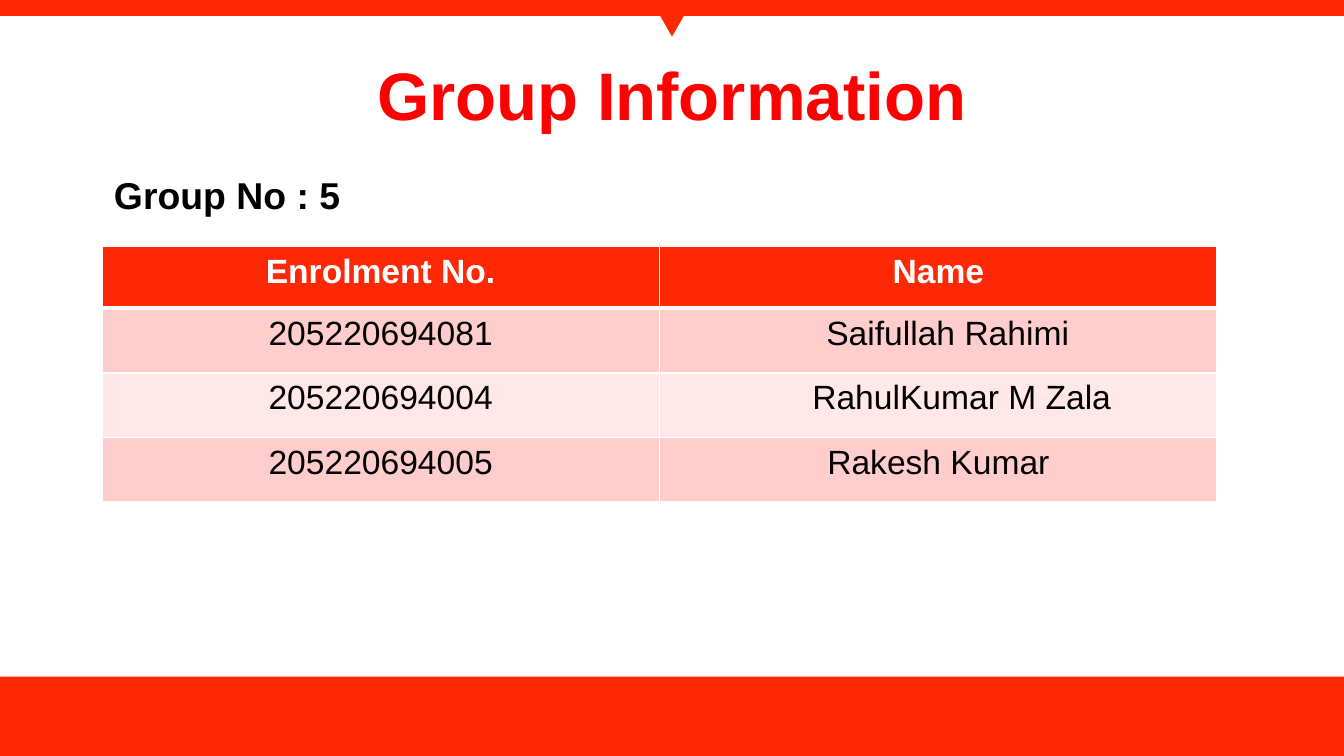
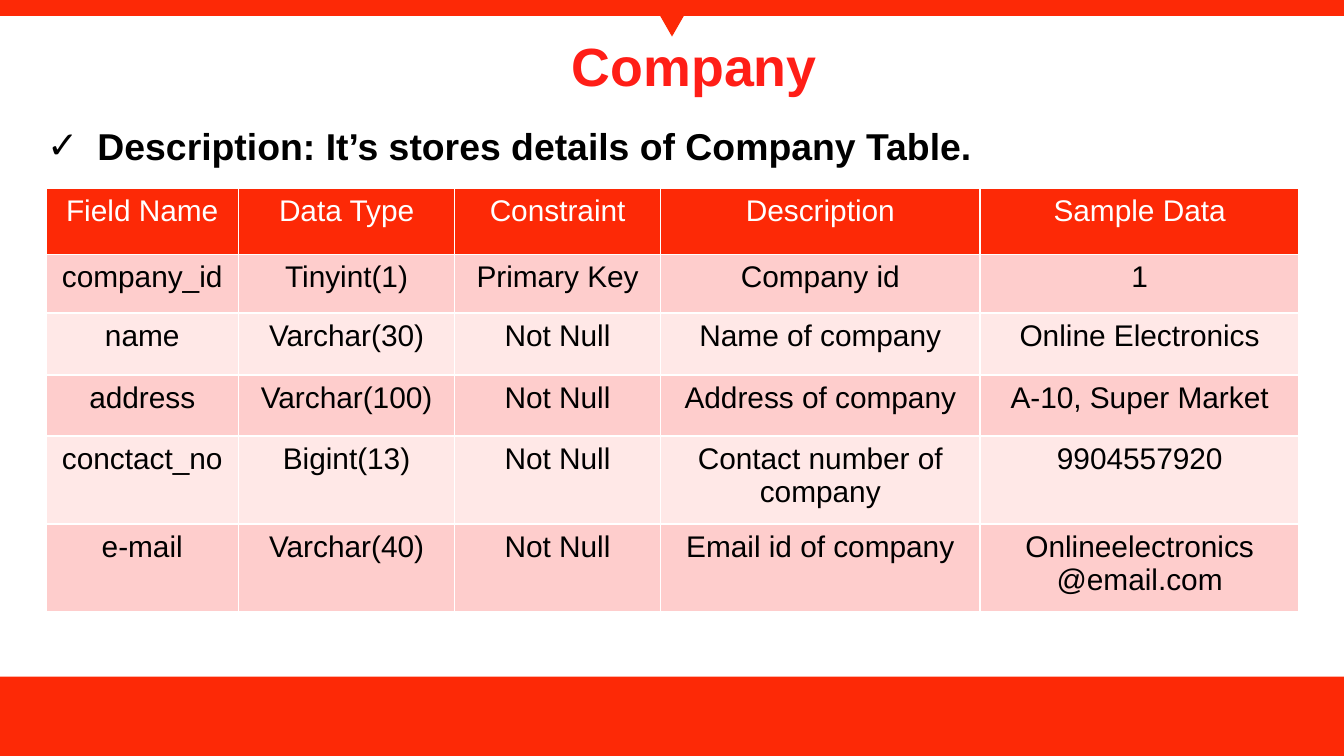
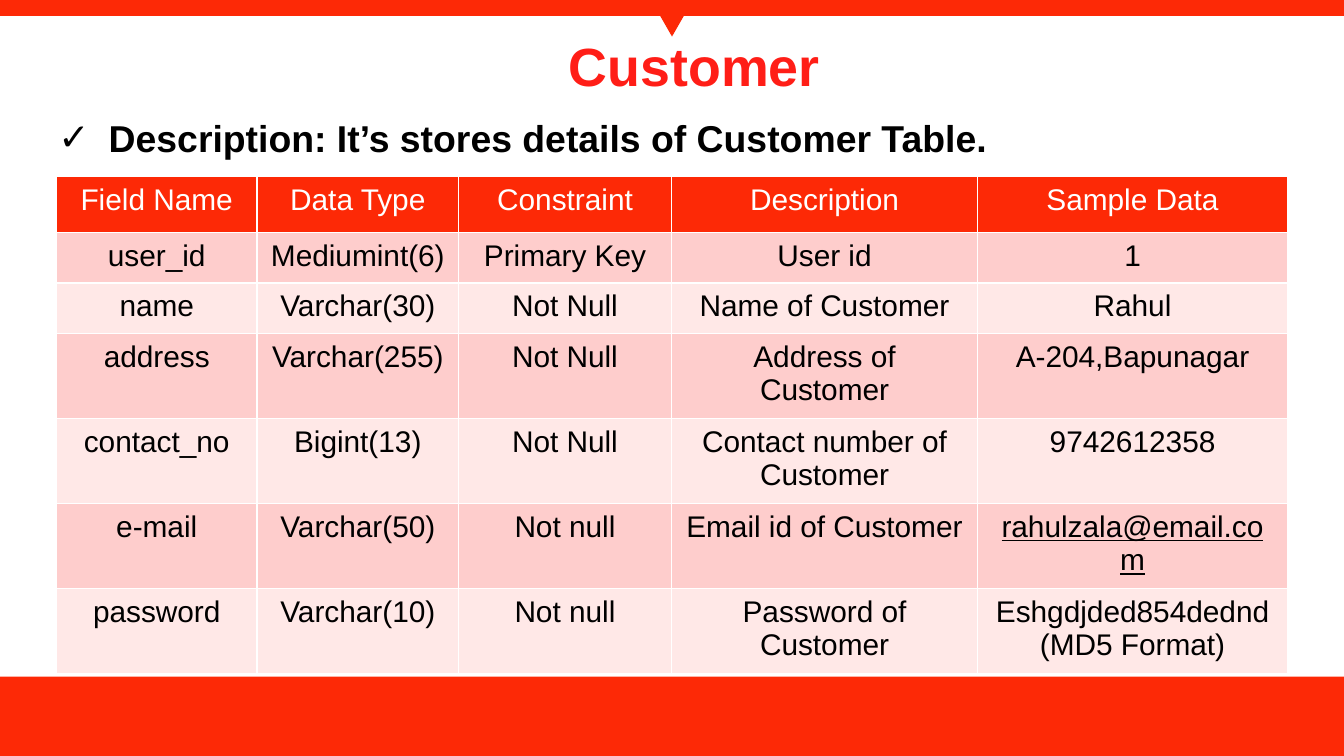
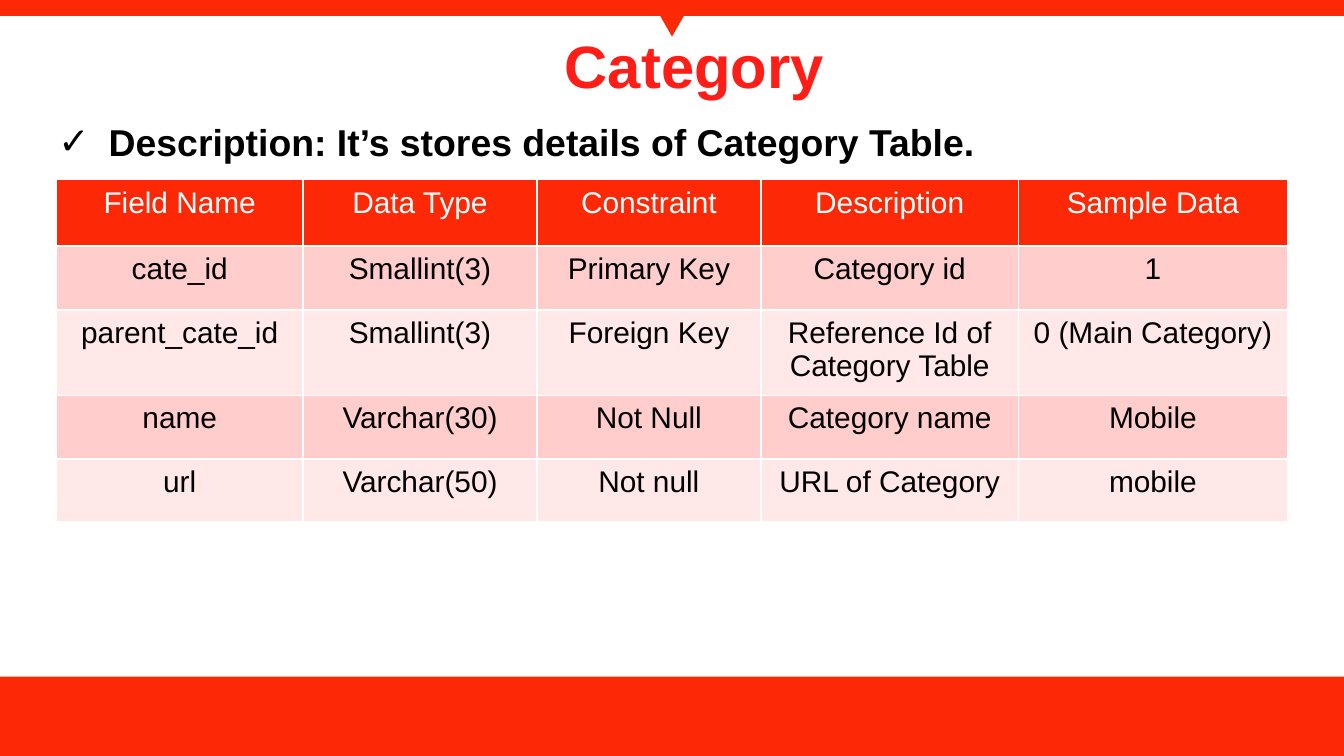
from lxml import etree
from pptx import Presentation
from pptx.dml.color import RGBColor
from pptx.enum.shapes import MSO_SHAPE
from pptx.enum.text import MSO_ANCHOR, MSO_AUTO_SIZE, PP_ALIGN
from pptx.oxml.ns import qn
from pptx.util import Pt

RECT, TRIANGLE = MSO_SHAPE.RECTANGLE, MSO_SHAPE.ISOSCELES_TRIANGLE
CENTER, LEFT = PP_ALIGN.CENTER, PP_ALIGN.LEFT
TOP, MIDDLE = MSO_ANCHOR.TOP, MSO_ANCHOR.MIDDLE
NO_FIT = MSO_AUTO_SIZE.NONE

WIDTH, HEIGHT = 720, 405
TITLE_ONLY, TITLE_AND_BODY = 5, 1
COLORS = {
    "band": "FD2906", "title": "FF0000", "table_title": "FF1E17", "text": "000000",
    "white": "FFFFFF", "odd_row": "FECDCC", "even_row": "FFE8E7",
}
HEADING = {"size": Pt(20), "bold": True}
CELL = {"size": Pt(16), "bold": False}
MEMBER_CELL = {"size": Pt(18), "bold": False}
FIELD_HEADER = ["Field Name", "Data Type", "Constraint", "Description", "Sample Data"]

MEMBERS = [
    ["Enrolment No.", "Name"],
    ["205220694081", "Saifullah Rahimi"],
    ["205220694004", "RahulKumar M Zala"],
    ["205220694005", "Rakesh Kumar"],
]
NAME_INDENTS = {1: 10, 2: 25}

SCHEMAS = [
    {
        "name": "Company", "title_size": 28.8, "note": (18, 62.6), "table": (24.6, 100.7),
        "cols": [103.2, 115.8, 110.3, 171.2, 171], "rows": [35.6, 31.6, 33, 32.7, 47.2, 47.2],
        "fields": [
            ["company_id", "Tinyint(1)", "Primary Key", "Company id", "1"],
            ["name", "Varchar(30)", "Not Null", "Name of company", "Online Electronics"],
            ["address", "Varchar(100)", "Not Null", "Address of company", "A-10, Super Market"],
            ["conctact_no", "Bigint(13)", "Not Null", "Contact number of\ncompany", "9904557920"],
            ["e-mail", "Varchar(40)", "Not Null", "Email id of company",
             "Onlineelectronics\n@email.com"],
        ],
    },
    {
        "name": "Customer", "title_size": 28.8, "note": (24, 58.3), "table": (30.2, 94.6),
        "cols": [107.6, 107.9, 114.1, 164, 166], "rows": [30, 27, 27.2] + [45.5] * 4,
        "underlined": "rahulzala@email.com",
        "fields": [
            ["user_id", "Mediumint(6)", "Primary Key", "User id", "1"],
            ["name", "Varchar(30)", "Not Null", "Name of Customer", "Rahul"],
            ["address", "Varchar(255)", "Not Null", "Address of\nCustomer", "A-204,Bapunagar"],
            ["contact_no", "Bigint(13)", "Not Null", "Contact number of\nCustomer", "9742612358"],
            ["e-mail", "Varchar(50)", "Not null", "Email id of Customer", "rahulzala@email.com"],
            ["password", "Varchar(10)", "Not null", "Password of\nCustomer",
             "Eshgdjded854dednd(MD5 Format)"],
        ],
    },
    {
        "name": "Category", "title_size": 32, "note": (24, 60.5), "table": (30.2, 96.2),
        "cols": [132.2, 125.3, 120, 138, 144], "rows": [35.6, 34.3, 45.7, 34, 34],
        "fields": [
            ["cate_id", "Smallint(3)", "Primary Key", "Category id", "1"],
            ["parent_cate_id", "Smallint(3)", "Foreign Key", "Reference Id of\nCategory Table",
             "0 (Main Category)"],
            ["name", "Varchar(30)", "Not Null", "Category name", "Mobile"],
            ["url", "Varchar(50)", "Not null", "URL of Category", "mobile"],
        ],
    },
]


def rgb(color):
    """Look up a named colour."""
    return RGBColor.from_string(COLORS[color])


def write(tf, text, fmt, color="text", align=CENTER):
    """Fill a text frame, one paragraph for each line of text."""
    for i, line in enumerate(text.split("\n")):
        p = tf.add_paragraph() if i else tf.paragraphs[0]
        p.alignment, p.space_before = align, Pt(0)
        r = p.add_run()
        r.text = line
        for key, value in {"name": "Arial", **fmt}.items():
            setattr(r.font, key, value)
        r.font.color.rgb = rgb(color)


def place(sp, x, y, w, h):
    """Move a shape to a box given in points."""
    sp.left, sp.top, sp.width, sp.height = Pt(x), Pt(y), Pt(w), Pt(h)


def add_bands(prs, s):
    """Build the bands and the pointer, and hand them to the slide master."""
    pointer_w = 22.4
    parts = [
        (RECT, 0, 362.5, WIDTH, HEIGHT - 362.5),
        (RECT, 0, 0, WIDTH, 8.6),
        (TRIANGLE, (WIDTH - pointer_w) / 2, 0, pointer_w, 19.6),
    ]
    for i, (kind, *box) in enumerate(parts):
        sp = s.shapes.add_shape(kind, *map(Pt, box))
        sp.shadow.inherit = False
        sp.fill.solid()
        sp.fill.fore_color.rgb = rgb("band")
        sp.line.fill.background()
        sp.rotation = 180 if kind == TRIANGLE else 0
        sp.element.nvSpPr.cNvPr.set("id", str(20 + i))
        prs.slide_master.shapes.element.append(sp.element)


def add_title(s, text, box, size, color):
    """Format the title placeholder."""
    sp = s.shapes.title
    place(sp, *box)
    tf = sp.text_frame
    tf.auto_size, tf.vertical_anchor = NO_FIT, MIDDLE
    write(tf, text, {"size": Pt(size), "bold": True}, color)


def add_note(s, text, x, y):
    """Format the body placeholder as one line with a check mark."""
    sp = s.placeholders[1]
    place(sp, x, y, 600, 31.5)
    tf = sp.text_frame
    tf.auto_size, tf.vertical_anchor = NO_FIT, TOP
    pPr = tf.paragraphs[0]._p.get_or_add_pPr()
    pPr.set("marL", str(Pt(27)))
    pPr.set("indent", str(-Pt(27)))
    etree.SubElement(pPr, qn("a:buFont"), typeface="Arial")
    etree.SubElement(pPr, qn("a:buChar"), char="✓")
    write(tf, text, HEADING, align=LEFT)


def set_borders(cell, top, bottom):
    """Give a cell white borders."""
    tcPr = cell._tc.get_or_add_tcPr()
    for side, width in {"L": 1, "R": 1, "T": top, "B": bottom}.items():
        ln = etree.SubElement(tcPr, qn(f"a:ln{side}"), w=str(Pt(width)))
        fill = etree.SubElement(ln, qn("a:solidFill"))
        etree.SubElement(fill, qn("a:srgbClr"), val=COLORS["white"])


def add_grid(s, x, y, cols, heights, rows, fmt, header_line=1, bold_header=False, underlined=""):
    """Add a table with a red header and two alternating row colours."""
    frame = s.shapes.add_table(len(rows), len(cols), Pt(x), Pt(y), Pt(sum(cols)), Pt(sum(heights)))
    table = frame.table
    table.horz_banding = False
    for col, width in zip(table.columns, cols):
        col.width = Pt(width)
    for i, (row, height, texts) in enumerate(zip(table.rows, heights, rows)):
        row.height = Pt(height)
        fill = "band" if i == 0 else "odd_row" if i % 2 else "even_row"
        for cell, text in zip(row.cells, texts):
            set_borders(cell, header_line if i == 1 else 1, header_line if i == 0 else 1)
            cell.fill.solid()
            cell.fill.fore_color.rgb = rgb(fill)
            style = {**fmt, "bold": bold_header and i == 0, "underline": text == underlined}
            write(cell.text_frame, text, style, "text" if i else "white")
    return table


def group_slide(prs):
    """Build the slide that lists the group members."""
    s = prs.slides.add_slide(prs.slide_layouts[TITLE_ONLY])
    add_bands(prs, s)
    add_title(s, "Group Information", (0, 15.1, WIDTH, 69.8), 36, "title")
    x = 54.5
    table = add_grid(s, x, 132, [298.8] * 2, [33] + [34.7] * 3, MEMBERS, MEMBER_CELL,
                     header_line=3, bold_header=True)
    for row, indent in NAME_INDENTS.items():
        table.cell(row, 1).margin_left = Pt(7.2 + indent)
    sp = s.shapes.add_textbox(Pt(x - 0.5), Pt(88.6), Pt(136.8), Pt(31.5))
    sp.text_frame.word_wrap = False
    write(sp.text_frame, "Group No : 5", HEADING, align=LEFT)


def schema_slide(prs, schema):
    """Build a slide that describes one database table."""
    s = prs.slides.add_slide(prs.slide_layouts[TITLE_AND_BODY])
    name = schema["name"]
    add_title(s, name, (24, 16.6, WIDTH - 24, 36), schema["title_size"], "table_title")
    add_note(s, f"Description: It’s stores details of {name} Table.", *schema["note"])
    add_grid(s, *schema["table"], schema["cols"], schema["rows"],
             [FIELD_HEADER] + schema["fields"], CELL, underlined=schema.get("underlined", ""))


def main():
    """Build and save the deck."""
    prs = Presentation()
    prs.slide_width, prs.slide_height = Pt(WIDTH), Pt(HEIGHT)
    group_slide(prs)
    for schema in SCHEMAS:
        schema_slide(prs, schema)
    prs.save("out.pptx")


if __name__ == "__main__":
    main()
